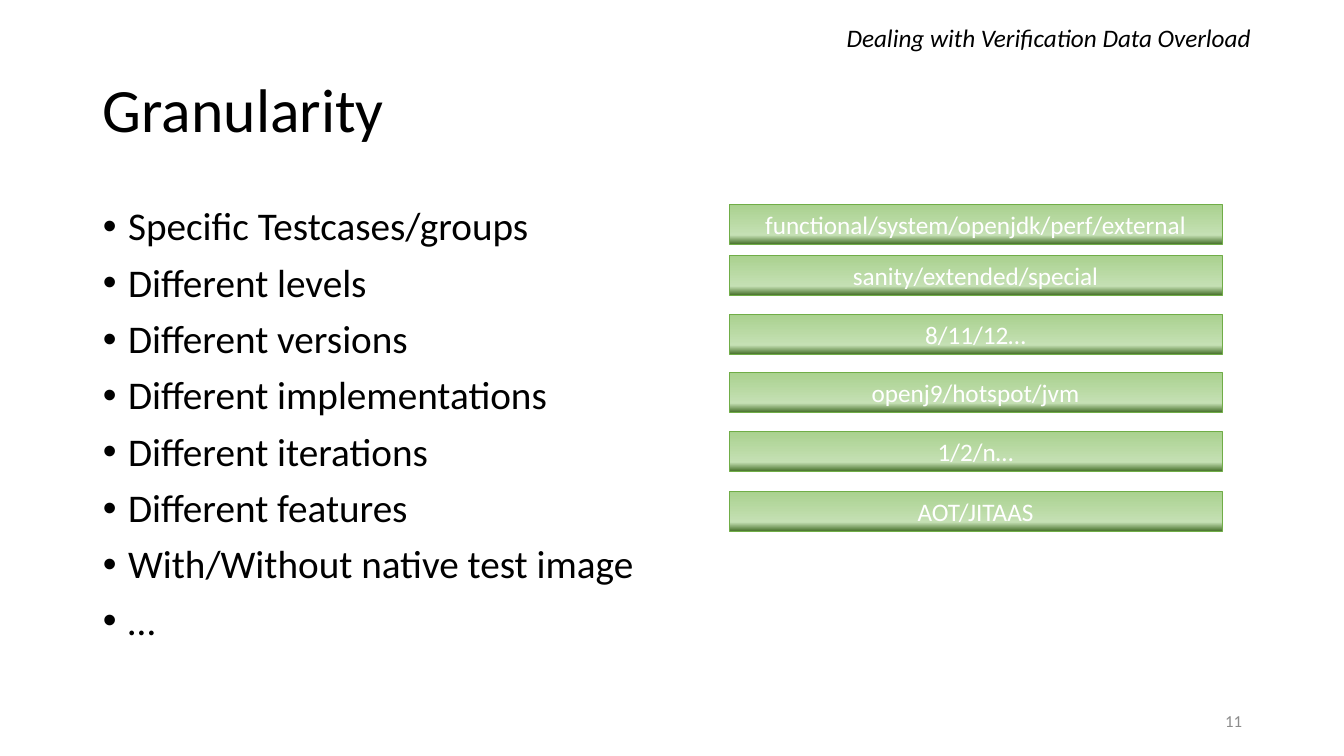
from copy import deepcopy

from lxml.etree import SubElement
from pptx import Presentation
from pptx.dml.color import RGBColor
from pptx.enum.shapes import MSO_SHAPE as Shape
from pptx.enum.text import MSO_ANCHOR as Anchor, PP_ALIGN as Align
from pptx.oxml.ns import qn
from pptx.util import Emu, Pt

PX = 914400 / 100.8
BLACK = RGBColor(0x00, 0x00, 0x00)
WHITE = RGBColor(0xFF, 0xFF, 0xFF)
GRAY = RGBColor(0x8C, 0x8C, 0x8C)
GREEN_LINE = RGBColor(0x70, 0xAD, 0x47)
GREEN_STOPS = [
    (0, RGBColor(0x4B, 0x74, 0x30)),
    (0.22, RGBColor(0xC5, 0xE0, 0xB4)),
    (1, RGBColor(0xA9, 0xD1, 0x8E)),
]

TOPICS = [
    "Specific Testcases/groups",
    "Different levels",
    "Different versions",
    "Different implementations",
    "Different iterations",
    "Different features",
    "With/Without native test image",
    "…",
]
# Top edge and text of each example bar
EXAMPLES = [
    (204, "functional/system/openjdk/perf/external"),
    (255, "sanity/extended/special"),
    (314, "8/11/12…"),
    (372, "openj9/hotspot/jvm"),
    (431, "1/2/n…"),
    (491, "AOT/JITAAS"),
]


def px(length):
    return Emu(round(length * PX))


def box(*lengths):
    return [px(length) for length in lengths]


def apply(target, values):
    for name, value in values.items():
        setattr(target, name, value)


def add_bullet(paragraph):
    properties = paragraph._p.get_or_add_pPr()
    properties.set("marL", "228600")
    properties.set("indent", "-228600")
    SubElement(properties, qn("a:buFont")).set("typeface", "Arial")
    SubElement(properties, qn("a:buChar")).set("char", "•")


def write(paragraph, text, size, color, italic=False, **layout):
    run = paragraph.add_run()
    run.text = text
    apply(paragraph, layout)
    apply(run.font, {"name": "Calibri", "size": Pt(size), "italic": italic})
    run.font.color.rgb = color


def add_text_box(slide, bounds, anchor=Anchor.MIDDLE):
    frame = slide.shapes.add_textbox(*box(*bounds)).text_frame
    apply(frame, {"word_wrap": True, "vertical_anchor": anchor})
    return frame


def add_label(slide, bounds, text, size, color, **layout):
    frame = add_text_box(slide, bounds)
    write(frame.paragraphs[0], text, size, color, **layout)


def add_bullets(slide, bounds, items):
    frame = add_text_box(slide, bounds, Anchor.TOP)
    for index, item in enumerate(items):
        paragraph = frame.add_paragraph() if index else frame.paragraphs[0]
        add_bullet(paragraph)
        write(paragraph, item, 28, BLACK, line_spacing=0.9,
              space_before=Pt(10 if index else 0))


def fill_gradient(shape):
    shape.fill.gradient()
    # A new gradient has two stops; the third is a clone of the first
    first = shape._element.spPr.find(".//" + qn("a:gs"))
    first.addnext(deepcopy(first))
    for stop, (position, color) in zip(shape.fill.gradient_stops, GREEN_STOPS):
        stop.position = position
        stop.color.rgb = color
    shape.fill.gradient_angle = 90


def add_bar(slide, top, text):
    shape = slide.shapes.add_shape(Shape.RECTANGLE, *box(729, top, 493, 40))
    shape.shadow.inherit = False
    fill_gradient(shape)
    shape.line.color.rgb = GREEN_LINE
    shape.line.width = Pt(0.5)
    frame = shape.text_frame
    apply(frame, {"word_wrap": True, "vertical_anchor": Anchor.MIDDLE})
    write(frame.paragraphs[0], text, 18, WHITE, alignment=Align.CENTER)


def main():
    presentation = Presentation()
    apply(presentation, {"slide_width": px(1344), "slide_height": px(756)})
    slide = presentation.slides.add_slide(presentation.slide_layouts[6])

    # Title, running header and slide number
    add_label(slide, (93, 40, 1159, 146), "Granularity", 44, BLACK,
              line_spacing=0.9)
    add_label(slide, (404, 15, 857, 49), "Dealing with Verification Data Overload",
              18, BLACK, italic=True, alignment=Align.RIGHT, line_spacing=0.9)
    add_label(slide, (950, 701, 302, 40), "11", 12, GRAY, alignment=Align.RIGHT)

    # Topics on the left, examples on the right
    add_bullets(slide, (93, 202, 1159, 480), TOPICS)
    for top, text in EXAMPLES:
        add_bar(slide, top, text)

    presentation.save("out.pptx")


if __name__ == "__main__":
    main()
